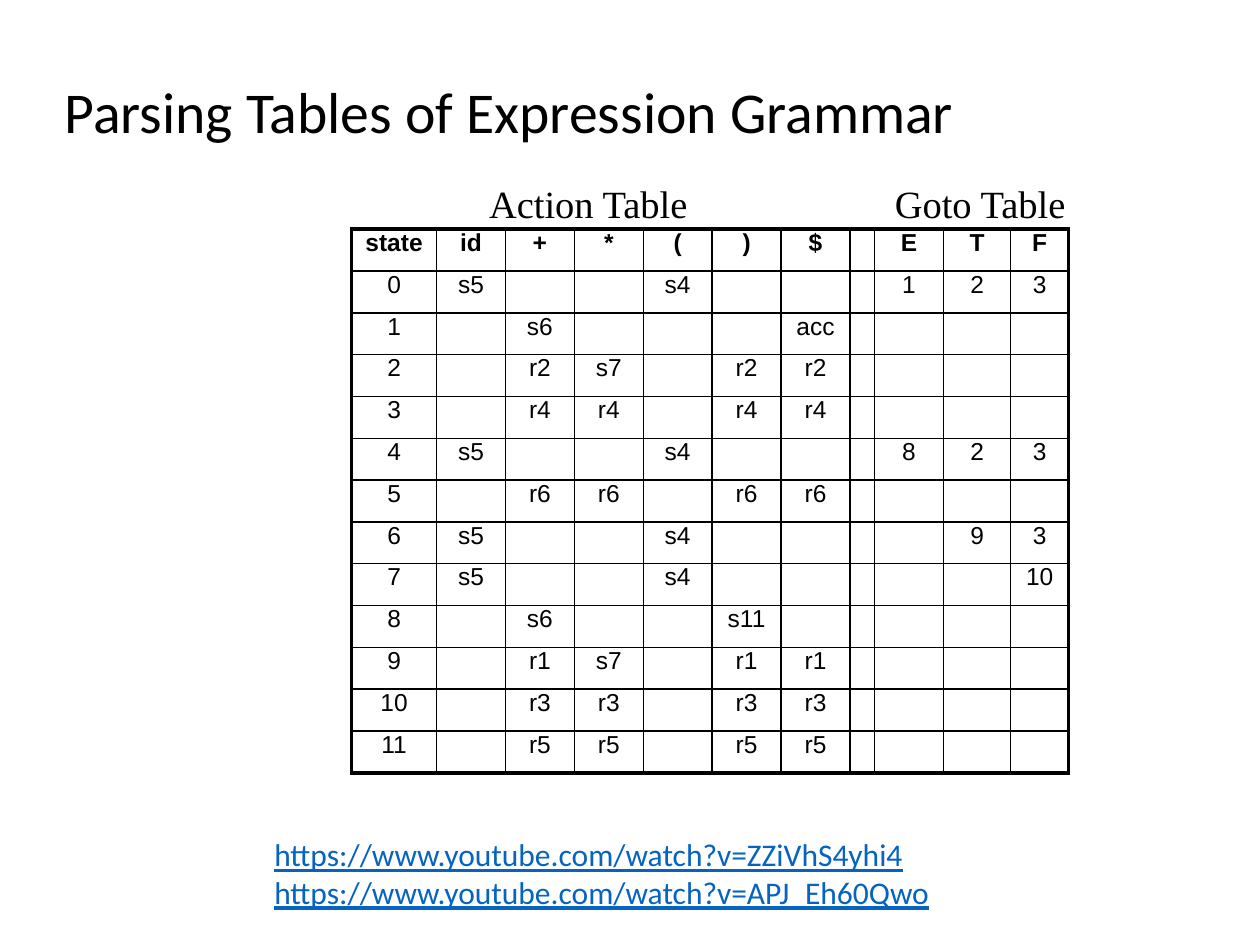
from lxml.etree import SubElement
from pptx import Presentation
from pptx.dml.color import RGBColor
from pptx.enum.text import MSO_ANCHOR as Anchor, PP_ALIGN as Align
from pptx.oxml.ns import qn
from pptx.util import Cm, Pt

BLACK, LINK = "000000", "0563C1"
THIN, THICK = 1, 2.25
COL_WIDTHS = [1.71] + [1.39] * 6 + [0.49, 1.4, 1.35, 1.17]
ROWS = [line.split(",") for line in (
    "state,id,+,*,(,),$,,E,T,F",
    "0,s5,,,s4,,,,1,2,3",
    "1,,s6,,,,acc,,,,",
    "2,,r2,s7,,r2,r2,,,,",
    "3,,r4,r4,,r4,r4,,,,",
    "4,s5,,,s4,,,,8,2,3",
    "5,,r6,r6,,r6,r6,,,,",
    "6,s5,,,s4,,,,,9,3",
    "7,s5,,,s4,,,,,,10",
    "8,,s6,,,s11,,,,,",
    "9,,r1,s7,,r1,r1,,,,",
    "10,,r3,r3,,r3,r3,,,,",
    "11,,r5,r5,,r5,r5,,,,",
)]
LINKS = [
    "https://www.youtube.com/watch?v=ZZiVhS4yhi4",
    "https://www.youtube.com/watch?v=APJ_Eh60Qwo",
]


def set_font(p, name, size, color=BLACK, bold=False, underline=False):
    """Style a whole paragraph."""
    f = p.font
    f.name, f.size, f.bold, f.underline = name, Pt(size), bold, underline
    f.color.rgb = RGBColor.from_string(color)


def add_text(s, box, lines, margins=(0, 0, 0, 0), anchor=Anchor.TOP, **font):
    """Add a text box with one paragraph per line."""
    tf = s.shapes.add_textbox(*map(Cm, box)).text_frame
    tf.word_wrap = True
    tf.vertical_anchor = anchor
    (tf.margin_left, tf.margin_top,
     tf.margin_right, tf.margin_bottom) = map(Cm, margins)
    tf.text = "\n".join(lines)
    for p in tf.paragraphs:
        set_font(p, **font)
    return tf


def set_borders(cell, widths):
    """Draw the left, right, top and bottom borders of a cell."""
    tc_pr = cell._tc.get_or_add_tcPr()
    for side, width in zip("LRTB", widths):
        ln = SubElement(tc_pr, qn(f"a:ln{side}"), w=str(Pt(width)))
        fill = SubElement(ln, qn("a:solidFill"))
        SubElement(fill, qn("a:srgbClr"), val=BLACK)


def add_title(s, box):
    """Add the slide title."""
    tf = add_text(s, box, ["Parsing Tables of Expression Grammar"],
                  margins=(0.03, 0.28, 0, 0), anchor=Anchor.MIDDLE,
                  name="Calibri", size=33)
    tf.paragraphs[0].line_spacing = 0.9


def add_parsing_table(s, box):
    """Add the action and goto headings with the table below them."""
    left, top, width, height = box
    for x, w, heading in ((2.74, 4.4, "Action Table"),
                          (10.92, 3.6, "Goto Table")):
        add_text(s, (left + x, top, w, 0.94), [heading],
                 margins=(0.03, 0, 0, 0), name="Times New Roman", size=22)

    head = 0.99
    n_rows, n_cols = len(ROWS), len(COL_WIDTHS)
    table = s.shapes.add_table(
        n_rows, n_cols, Cm(left), Cm(top + head),
        Cm(width), Cm(height - head)).table
    table.first_row = table.horz_banding = False
    for col, w in zip(table.columns, COL_WIDTHS):
        col.width = Cm(w)
    for i, row in enumerate(ROWS):
        table.rows[i].height = Cm((height - head) / n_rows)
        for j, text in enumerate(row):
            cell = table.cell(i, j)
            edges = (j == 0, j == n_cols - 1, i == 0, i == n_rows - 1)
            set_borders(cell, [THICK if edge else THIN for edge in edges])
            cell.fill.background()
            cell.margin_left = cell.margin_right = 0
            cell.margin_top = cell.margin_bottom = 0
            cell.text = text
            p = cell.text_frame.paragraphs[0]
            p.alignment = Align.CENTER
            set_font(p, "Arial", 14, bold=i == 0)


def add_links(s, box):
    """Add the video addresses."""
    add_text(s, box, LINKS, margins=(0.25, 0.13, 0.25, 0.13),
             name="Calibri", size=18, color=LINK, underline=True)


def main():
    """Build and save the slide."""
    prs = Presentation()
    prs.slide_width, prs.slide_height = Cm(25.4), Cm(19.05)
    s = prs.slides.add_slide(prs.slide_layouts[6])
    add_title(s, (1.27, 0.76, 20.75, 2.84))
    add_parsing_table(s, (7.09, 3.63, 14.46, 11.96))
    add_links(s, (5.28, 16.71, 19.05, 2.3))
    prs.save("out.pptx")


if __name__ == "__main__":
    main()
